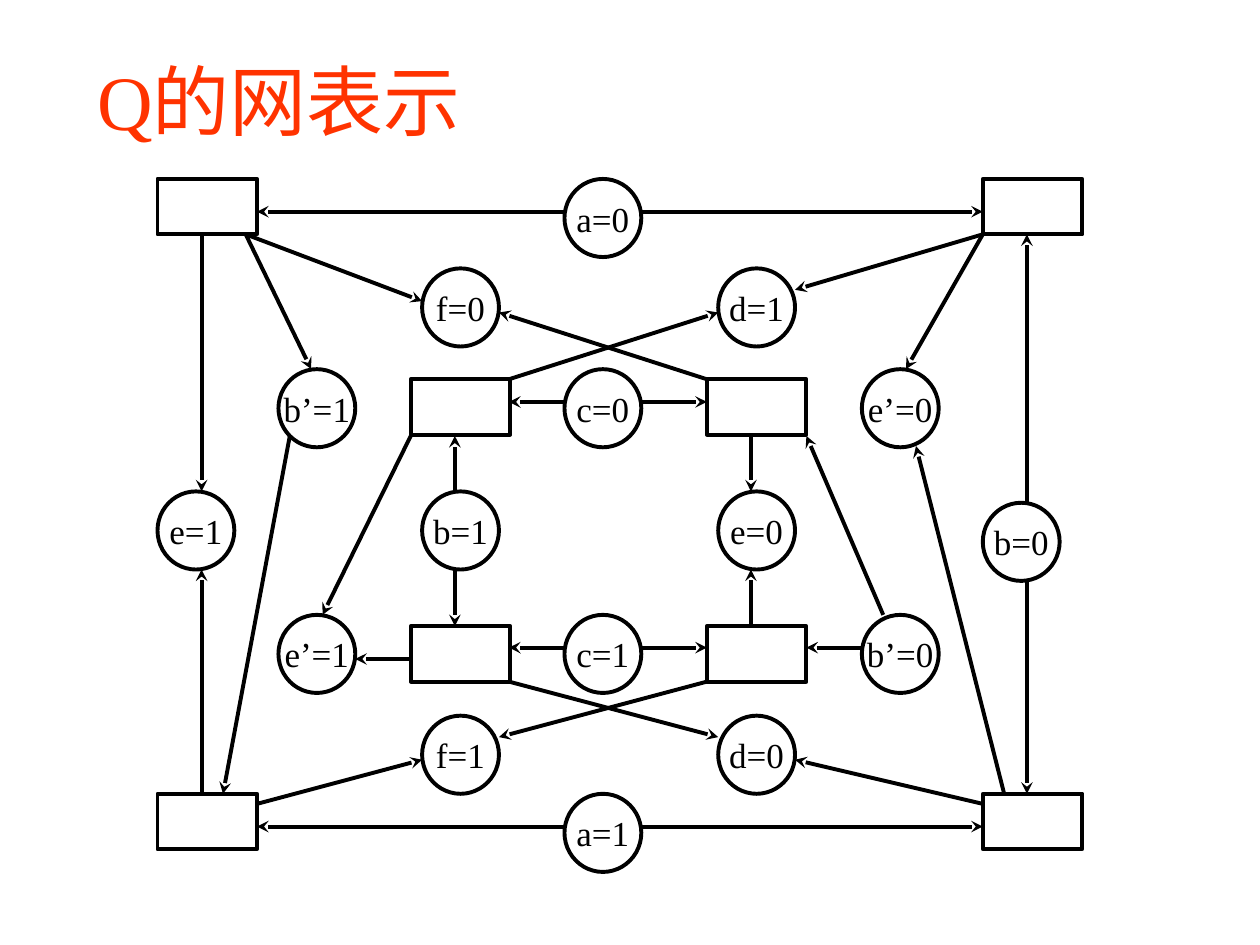
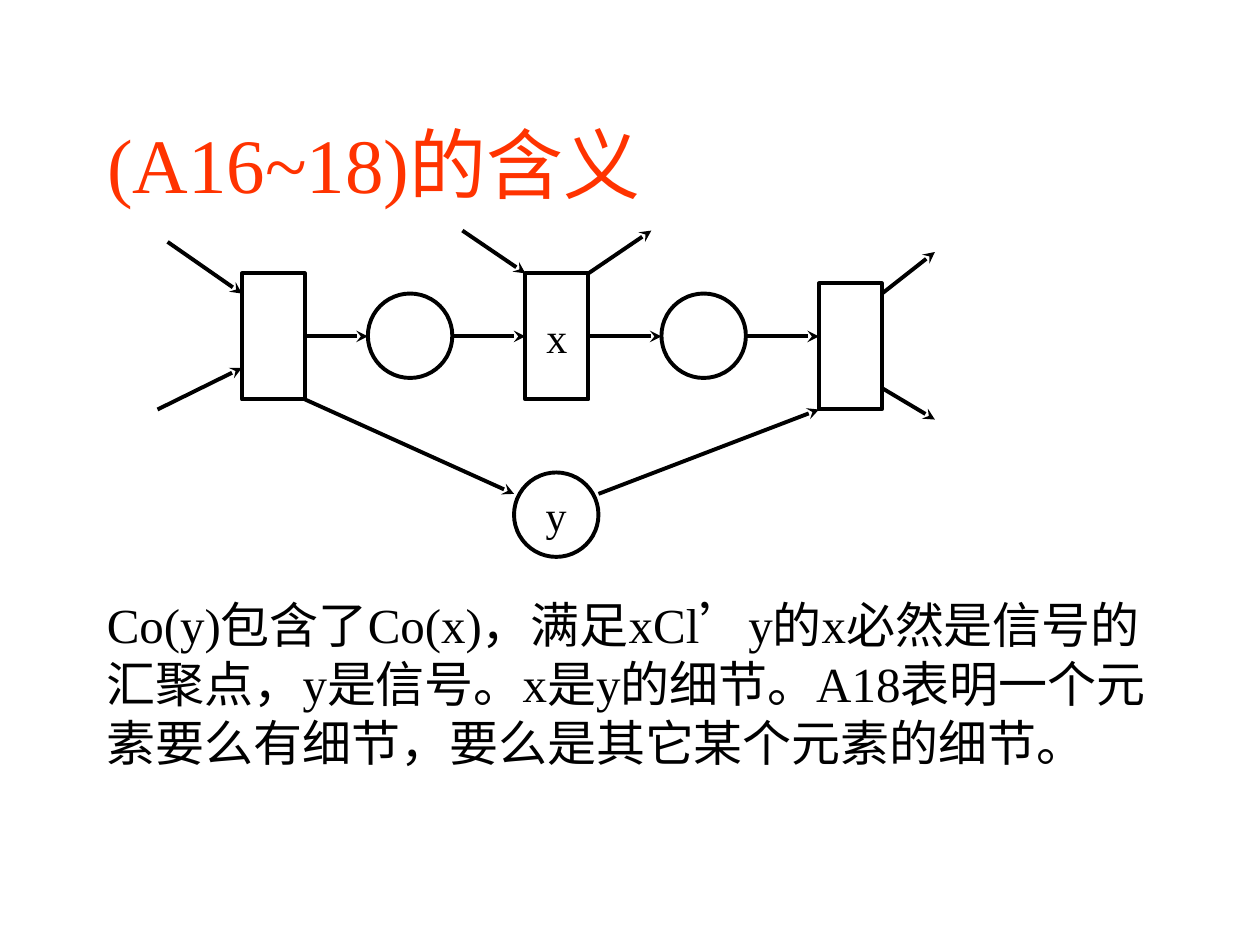
import pptx
import pptx.dml.color
import pptx.enum.shapes
import pptx.enum.text
import pptx.oxml
import pptx.oxml.ns
import pptx.util

Inches = pptx.util.Inches
RGBColor = pptx.dml.color.RGBColor
Shapes = pptx.enum.shapes.MSO_SHAPE

# Shared look
TITLE_RED = RGBColor(0xFF, 0x33, 0x00)
BLACK = RGBColor(0x00, 0x00, 0x00)
WHITE = RGBColor(0xFF, 0xFF, 0xFF)
LINE_WIDTH = pptx.util.Pt(2.25)
TITLE_SIZE, BODY_SIZE = 44, 28
FRAME = {
    "margin_left": Inches(0.1),
    "margin_right": Inches(0.1),
    "margin_top": Inches(0.05),
    "margin_bottom": Inches(0.05),
    "auto_size": pptx.enum.text.MSO_AUTO_SIZE.NONE,
}

# Net of Q: circles sit on a grid of columns and rows
COLUMNS = [1.25, 2.21, 3.35, 4.48, 5.7, 6.84, 7.8]
ROWS = [1.42, 2.13, 2.93, 3.9, 4.88, 5.68, 6.3]
Q_CIRCLE = (0.61, 0.62)
Q_BOX = (0.79, 0.44)
Q_CIRCLES = {
    "a=0": (3, 0), "f=0": (2, 1), "d=1": (4, 1),
    "b’=1": (1, 2), "c=0": (3, 2), "e’=0": (5, 2),
    "e=1": (0, 3), "b=1": (2, 3), "e=0": (4, 3),
    "e’=1": (1, 4), "c=1": (3, 4), "b’=0": (5, 4),
    "f=1": (2, 5), "d=0": (4, 5), "a=1": (3, 6),
}
B0_POSITION = (7.8, 3.99)
OUTER_BOXES = [(x, y) for x in (1.25, 7.8) for y in (1.42, 6.3)]
INNER_BOXES = [(x, y) for x in (3.26, 5.61) for y in (3.01, 4.97)]

# Arrows as (from x, from y, to x, to y)
Q_STRAIGHT_ARROWS = [
    (1.6, 1.86, 1.6, 3.9), (1.6, 6.3, 1.6, 4.52),
    (8.15, 3.99, 8.15, 1.86), (8.15, 4.61, 8.15, 6.3),
    (3.61, 3.9, 3.61, 3.46), (3.61, 4.52, 3.61, 4.97),
    (5.96, 3.46, 5.96, 3.9), (5.96, 4.97, 5.96, 4.52),
    (3.26, 5.23, 2.82, 5.23), (6.84, 5.14, 6.4, 5.14),
]
Q_SLANTED_ARROWS = [
    (1.95, 1.86, 2.47, 2.93), (1.95, 1.86, 3.35, 2.39),
    (7.8, 1.86, 6.31, 2.3), (7.8, 1.86, 7.19, 2.93),
    (2.3, 3.46, 1.77, 6.3), (7.97, 6.3, 7.27, 3.54),
    (3.26, 3.46, 2.56, 4.88), (7.01, 4.88, 6.4, 3.46),
    (5.61, 3.01, 3.96, 2.48), (4.04, 3.01, 5.7, 2.48),
    (5.61, 5.41, 3.96, 5.85), (4.04, 5.41, 5.7, 5.85),
    (2.04, 6.38, 3.35, 6.03), (7.8, 6.38, 6.31, 6.03),
]
# Centre circles point both ways: (y, left end, right end)
Q_TWO_WAY = [(1.68, 2.04, 7.8), (3.19, 4.04, 5.61),
             (5.14, 4.04, 5.61), (6.56, 2.04, 7.8)]

# Net of axioms 16 to 18
AXIOM_CIRCLE = (0.67, 0.67)
AXIOM_BOX = (0.5, 1)
AXIOM_CIRCLES = [(2.92, 2.33, ""), (5.25, 2.33, ""), (4.08, 3.75, "y")]
AXIOM_BOXES = [(1.92, 2.17, ""), (4.17, 2.17, "x"), (6.5, 2.25, "")]
CHAIN_Y = 2.67
CHAIN_GAPS = [(2.42, 2.92), (3.58, 4.17), (4.67, 5.25), (5.92, 6.5)]
AXIOM_ARROWS = [
    (2.42, 3.17, 4.08, 3.92), (4.75, 3.92, 6.5, 3.25),
    (1.33, 1.92, 1.92, 2.33), (1.25, 3.25, 1.92, 2.92),
    (7, 2.33, 7.42, 2), (7, 3.08, 7.42, 3.33),
    (3.67, 1.83, 4.17, 2.17), (4.67, 2.17, 5.17, 1.83),
]
BODY_TEXT = ("Co(y)包含了Co(x)，满足xCl’y的x必然是信号的汇聚点，y是信号。"
             "x是y的细节。A18表明一个元素要么有细节，要么是其它某个元素的细节。")


def set_attributes(target, values):
    for name, value in values.items():
        setattr(target, name, value)


def write_text(shape, text, size, color=BLACK, wrap=True,
               align=pptx.enum.text.PP_ALIGN.LEFT,
               anchor=pptx.enum.text.MSO_ANCHOR.MIDDLE):
    frame = shape.text_frame
    set_attributes(frame, {**FRAME, "word_wrap": wrap, "vertical_anchor": anchor})
    paragraph = frame.paragraphs[0]
    paragraph.alignment = align
    run = paragraph.add_run()
    run.text = text
    set_attributes(run.font, {"name": "Times New Roman",
                              "size": pptx.util.Pt(size)})
    run.font.color.rgb = color
    return paragraph


def add_titled_slide(presentation, title, left, top):
    slide = presentation.slides.add_slide(presentation.slide_layouts[5])
    set_attributes(slide.shapes.title, {
        "left": Inches(left), "top": Inches(top),
        "width": Inches(8.5), "height": Inches(1.25)})
    write_text(slide.shapes.title, title, TITLE_SIZE, TITLE_RED)
    return slide


def add_node(net, kind, position, size, text="", text_size=20):
    shape = net.shapes.add_shape(kind, *map(Inches, (*position, *size)))
    shape.shadow.inherit = False
    shape.fill.solid()
    shape.fill.fore_color.rgb = WHITE
    shape.line.color.rgb = BLACK
    shape.line.width = LINE_WIDTH
    if text:
        write_text(shape, text, text_size, wrap=False,
                   align=pptx.enum.text.PP_ALIGN.CENTER)


def add_arrow(net, ends):
    connector = net.shapes.add_connector(
        pptx.enum.shapes.MSO_CONNECTOR.STRAIGHT, *map(Inches, ends))
    connector.line.color.rgb = BLACK
    connector.line.width = LINE_WIDTH
    properties = connector._element.spPr
    line = properties.find(pptx.oxml.ns.qn("a:ln"))
    namespace = pptx.oxml.ns.nsdecls("a")
    line.append(pptx.oxml.parse_xml(f'<a:tailEnd {namespace} type="stealth"/>'))
    properties.append(pptx.oxml.parse_xml(f"<a:effectLst {namespace}/>"))


def build_q_net(presentation):
    slide = add_titled_slide(presentation, "Q的网表示", 0.67, 0.17)
    net = slide.shapes.add_group_shape()
    for position in OUTER_BOXES + INNER_BOXES:
        add_node(net, Shapes.RECTANGLE, position, Q_BOX)
    for label, (column, row) in Q_CIRCLES.items():
        add_node(net, Shapes.OVAL, (COLUMNS[column], ROWS[row]), Q_CIRCLE, label)
    add_node(net, Shapes.OVAL, B0_POSITION, Q_CIRCLE, "b=0")
    for ends in Q_STRAIGHT_ARROWS + Q_SLANTED_ARROWS:
        add_arrow(net, ends)
    circle_left = COLUMNS[3]
    circle_right = circle_left + Q_CIRCLE[0]
    for y, left, right in Q_TWO_WAY:
        add_arrow(net, (circle_left, y, left, y))
        add_arrow(net, (circle_right, y, right, y))


def build_axiom_net(presentation):
    slide = add_titled_slide(presentation, "(A16~18)的含义", 0.75, 0.67)

    # Explanation below the net
    body = slide.shapes.add_textbox(*map(Inches, (0.75, 4.67, 8.5, 2)))
    paragraph = write_text(body, BODY_TEXT, BODY_SIZE,
                           anchor=pptx.enum.text.MSO_ANCHOR.TOP)
    paragraph.space_before = pptx.util.Pt(7)

    # Net
    net = slide.shapes.add_group_shape()
    for kind, size, nodes in ((Shapes.OVAL, AXIOM_CIRCLE, AXIOM_CIRCLES),
                              (Shapes.RECTANGLE, AXIOM_BOX, AXIOM_BOXES)):
        for left, top, label in nodes:
            add_node(net, kind, (left, top), size, label, 24)
    chain = [(start, CHAIN_Y, end, CHAIN_Y) for start, end in CHAIN_GAPS]
    for ends in chain + AXIOM_ARROWS:
        add_arrow(net, ends)


def main():
    presentation = pptx.Presentation()
    presentation.slide_width = Inches(10)
    presentation.slide_height = Inches(7.5)
    build_q_net(presentation)
    build_axiom_net(presentation)
    presentation.save("out.pptx")


if __name__ == "__main__":
    main()
